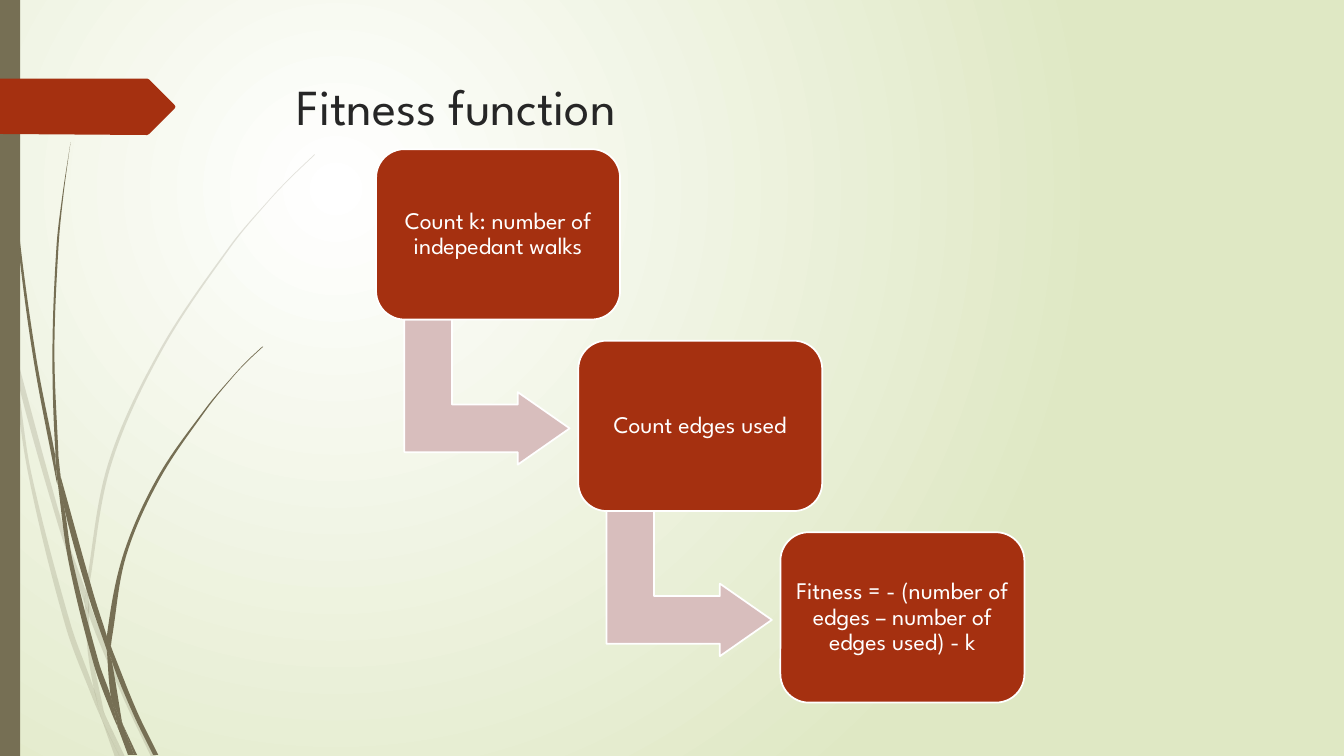
import math
from dataclasses import dataclass

import lxml.etree
import pptx
import pptx.dml.color
import pptx.enum.shapes
import pptx.enum.text
import pptx.oxml.ns
import pptx.util
from pptx.util import Inches

FONT = "League Spartan"
RED, OLIVE, PINK, WHITE = "A53010", "766F54", "D8BEBD", "FFFFFF"
STEP_X, STEP_Y = 2.005, 1.9
Point = tuple[float, float]


@dataclass
class Blade:
    """A piece of grass: one edge runs down, the other runs back up."""
    down: list[Point]
    up: list[Point]


PALE_BLADES = [
    Blade([(0, 2.82), (0.09, 3.22), (0.11, 3.5)], [(0.1, 3.44), (0, 2.99)]),
    Blade([(0.14, 3.45), (0.17, 3.76), (0.58, 5.22), (0.84, 5.99)],
          [(0.85, 5.86), (0.62, 5.2), (0.14, 3.45)]),
    Blade([(0.88, 5.96), (0.88, 6.1), (1.23, 6.94), (1.5, 7.51)],
          [(1.55, 7.51), (1.27, 6.92), (0.92, 6.07), (0.88, 5.96)]),
    Blade([(1.05, 7.11), (1.19, 7.51)], [(1.24, 7.51), (1.05, 7.11)]),
    Blade([(0.11, 3.5), (0.28, 4.7), (0.65, 6.21), (0.92, 6.93), (1.01, 7.14)],
          [(0.99, 7.07), (0.93, 6.83), (0.7, 6.19), (0.31, 4.69), (0.17, 3.76), (0.11, 3.5)]),
    Blade([(0.84, 5.99), (0.87, 6.46), (0.93, 6.83), (0.96, 6.92), (1.05, 7.11)],
          [(1.03, 7.06), (0.91, 6.46), (0.88, 6.1), (0.88, 6.08), (0.84, 5.99)]),
    Blade([(3.12, 1.53), (2.89, 1.75), (2.68, 1.97), (2.28, 2.44), (1.58, 3.48), (1.07, 4.61),
           (0.85, 5.84), (0.85, 5.86), (0.88, 5.96)],
          [(0.88, 5.84), (1.1, 4.62), (1.6, 3.49), (2.29, 2.45), (2.68, 1.98), (2.9, 1.75),
           (3.12, 1.54)]),
    Blade([(1.01, 7.14), (1.14, 7.51)], [(1.19, 7.51), (1.01, 7.14)]),
    Blade([(0.85, 5.86), (0.84, 5.99), (0.88, 6.08)], [(0.88, 6.1), (0.88, 5.96), (0.85, 5.86)]),
    Blade([(0.93, 6.83), (0.99, 7.07), (1.01, 7.14), (1.19, 7.51)],
          [(1.05, 7.11), (0.96, 6.92), (0.93, 6.83)]),
]
DARK_BLADES = [
    Blade([(0.03, 0), (0.04, 0.48), (0.07, 1.1), (0.17, 2.33), (0.33, 3.55), (0.56, 4.77),
           (0.57, 4.81)],
          [(0.55, 4.57), (0.55, 4.53), (0.36, 3.55), (0.19, 2.32), (0.08, 1.09), (0.05, 0.48),
           (0.04, 0)]),
    Blade([(0.6, 4.72), (0.64, 5.05), (0.88, 5.92), (1.06, 6.45)],
          [(1.06, 6.33), (1.06, 6.31), (0.93, 5.9), (0.6, 4.72)]),
    Blade([(1.1, 6.41), (1.11, 6.56), (1.32, 7.08), (1.52, 7.49)],
          [(1.57, 7.49), (1.36, 7.06), (1.13, 6.49), (1.1, 6.41)]),
    Blade([(0.57, 4.77), (0.68, 5.57), (0.93, 6.59), (1.11, 7.08), (1.17, 7.22)],
          [(1.16, 7.17), (1.1, 6.91), (0.98, 6.57), (0.72, 5.56), (0.64, 5.05), (0.57, 4.77)]),
    Blade([(0.7, 1.41), (0.62, 1.93), (0.56, 2.45), (0.52, 3.49), (0.55, 4.49), (0.6, 4.72)],
          [(0.58, 4.53), (0.54, 3.49), (0.58, 2.45), (0.63, 1.93), (0.7, 1.41)]),
    Blade([(1.22, 7.19), (1.33, 7.49)], [(1.36, 7.49), (1.22, 7.19)]),
    Blade([(0.55, 4.49), (0.55, 4.53), (0.57, 4.77), (0.64, 5.05)], [(0.6, 4.72), (0.55, 4.49)]),
    Blade([(2.6, 3.44), (2.45, 3.58), (2.31, 3.73), (2.04, 4.05), (1.56, 4.74), (1.22, 5.51),
           (1.06, 6.31), (1.1, 6.41)],
          [(1.11, 6.33), (1.25, 5.52), (1.58, 4.76), (2.05, 4.06), (2.31, 3.74), (2.45, 3.59),
           (2.61, 3.44)]),
    Blade([(1.17, 7.22), (1.27, 7.49)], [(1.31, 7.49), (1.17, 7.22)]),
    Blade([(1.06, 6.45), (1.1, 6.91), (1.16, 7.06), (1.22, 7.19)],
          [(1.21, 7.16), (1.11, 6.56), (1.09, 6.51), (1.06, 6.45)]),
    Blade([(1.06, 6.31), (1.06, 6.45), (1.09, 6.51), (1.11, 6.56)], [(1.1, 6.41), (1.06, 6.31)]),
    Blade([(1.1, 6.91), (1.16, 7.17), (1.17, 7.22), (1.3, 7.49)],
          [(1.33, 7.49), (1.22, 7.19), (1.16, 7.06), (1.1, 6.91)]),
]
TAG = [(0, 0.78), (1.46, 0.78), (1.48, 0.79), (1.73, 1.04), (1.74, 1.06), (1.73, 1.08),
       (1.48, 1.33), (1.46, 1.34), (0, 1.33)]
STEPS = [
    "Count k: number of indepedant walks",
    "Count edges used",
    "Fitness = - (number of edges – number of edges used) - k",
]


def color(value: str) -> pptx.dml.color.RGBColor:
    return pptx.dml.color.RGBColor.from_string(value)


def add_child(parent, tag: str, **attributes: str):
    return lxml.etree.SubElement(parent, pptx.oxml.ns.qn(tag), attributes)


def paint(shape, fill: str, line: str | None = None, opacity: int = 100) -> None:
    shape.shadow.inherit = False
    shape.fill.solid()
    shape.fill.fore_color.rgb = color(fill)
    if opacity < 100:
        solid = shape.fill._xPr.find(pptx.oxml.ns.qn("a:solidFill"))
        add_child(solid[0], "a:alpha", val=str(opacity * 1000))
    if line:
        shape.line.color.rgb = color(line)
        shape.line.width = pptx.util.Pt(1.25)
    else:
        shape.line.fill.background()


def write(shape, text: str, *, size: float, ink: str, align: str = "LEFT", anchor: str = "TOP",
          margin: float = 0.1, spacing: float = 1.0) -> None:
    frame = shape.text_frame
    frame.word_wrap = True
    frame.vertical_anchor = pptx.enum.text.MSO_ANCHOR[anchor]
    frame.margin_left = frame.margin_right = Inches(margin)
    frame.margin_top = frame.margin_bottom = Inches(min(margin, 0.07))
    paragraph = frame.paragraphs[0]
    paragraph.alignment = pptx.enum.text.PP_ALIGN[align]
    paragraph.line_spacing = spacing
    run = paragraph.add_run()
    run.text = text
    run.font.name = FONT
    run.font.size = pptx.util.Pt(size)
    run.font.color.rgb = color(ink)


def add_preset(slide, preset: str, left: float, top: float, width: float, height: float):
    return slide.shapes.add_shape(pptx.enum.shapes.MSO_SHAPE[preset], Inches(left), Inches(top),
                                  Inches(width), Inches(height))


def add_outline(slide, points: list[Point]):
    corners = [(Inches(x), Inches(y)) for x, y in points]
    builder = slide.shapes.build_freeform(*corners[0])
    builder.add_line_segments(corners[1:], close=True)
    return builder.convert_to_shape()


def curve_controls(edge: list[Point]) -> list[tuple[Point, Point]]:
    """Give the two Bezier handles of each span of a smooth edge."""
    padded = [edge[0], *edge, edge[-1]]
    controls = []
    for a, b, c, d in zip(padded, padded[1:], padded[2:], padded[3:]):
        span = math.dist(b, c)
        leave = span / (math.dist(a, b) + span) / 3
        arrive = span / (math.dist(c, d) + span) / 3
        controls.append(((b[0] + (c[0] - a[0]) * leave, b[1] + (c[1] - a[1]) * leave),
                         (c[0] - (d[0] - b[0]) * arrive, c[1] - (d[1] - b[1]) * arrive)))
    return controls


def add_blade(slide, blade: Blade, opacity: int) -> None:
    points = blade.down + blade.up
    shape = add_outline(slide, points)
    joint = (blade.down[-1], blade.up[0])
    controls = [*curve_controls(blade.down), joint, *curve_controls(blade.up)]
    left, top = (min(values) for values in zip(*points))
    lines = list(shape._element.iter(pptx.oxml.ns.qn("a:lnTo")))
    for line, handles in zip(lines, controls):
        curve = lxml.etree.Element(pptx.oxml.ns.qn("a:cubicBezTo"))
        for x, y in handles:
            add_child(curve, "a:pt", x=str(Inches(x - left)), y=str(Inches(y - top)))
        curve.append(line[0])
        line.getparent().replace(line, curve)
    paint(shape, OLIVE, opacity=opacity)


def add_background(slide) -> None:
    fill = slide.background.fill
    fill.gradient()
    for stop, position, value in zip(fill.gradient_stops, (0, 1), (WHITE, "DFE8C4")):
        stop.position = position
        stop.color.rgb = color(value)
    gradient = slide.background._cSld.find(".//" + pptx.oxml.ns.qn("a:gradFill"))
    circle = add_child(gradient, "a:path", path="circle")
    gradient.replace(gradient.find(pptx.oxml.ns.qn("a:lin")), circle)
    add_child(circle, "a:fillToRect", l="50000", t="50000", r="100000", b="100000")


def add_step(slide, index: int, text: str) -> None:
    left, top = 3.73 + index * STEP_X, 1.48 + index * STEP_Y
    if index < len(STEPS) - 1:
        arrow = add_preset(slide, "BENT_UP_ARROW", left + 0.38, top + 1.59, 1.44, 1.64)
        arrow.rotation = 90
        for position, value in enumerate((0.328, 0.25, 0.358)):
            arrow.adjustments[position] = value
        paint(arrow, PINK, WHITE)
    box = add_preset(slide, "ROUNDED_RECTANGLE", left, top, 2.42, 1.69)
    box.adjustments[0] = 0.167
    paint(box, RED, WHITE)
    write(box, text, size=17, ink=WHITE, align="CENTER", anchor="MIDDLE", margin=0.07, spacing=0.9)


def main() -> None:
    presentation = pptx.Presentation()
    presentation.slide_width, presentation.slide_height = Inches(13.33), Inches(7.5)
    slide = presentation.slides.add_slide(presentation.slide_layouts[6])
    add_background(slide)
    for blades, opacity in ((PALE_BLADES, 20), (DARK_BLADES, 100)):
        for blade in blades:
            add_blade(slide, blade, opacity)
    paint(add_preset(slide, "RECTANGLE", 0, 0, 0.2, 7.5), OLIVE)
    paint(add_outline(slide, TAG), RED)
    title = slide.shapes.add_textbox(Inches(2.84), Inches(0.68), Inches(9.75), Inches(1.4))
    write(title, "Fitness function", size=36, ink="262626")
    for index, text in enumerate(STEPS):
        add_step(slide, index, text)
    presentation.save("out.pptx")


if __name__ == "__main__":
    main()
